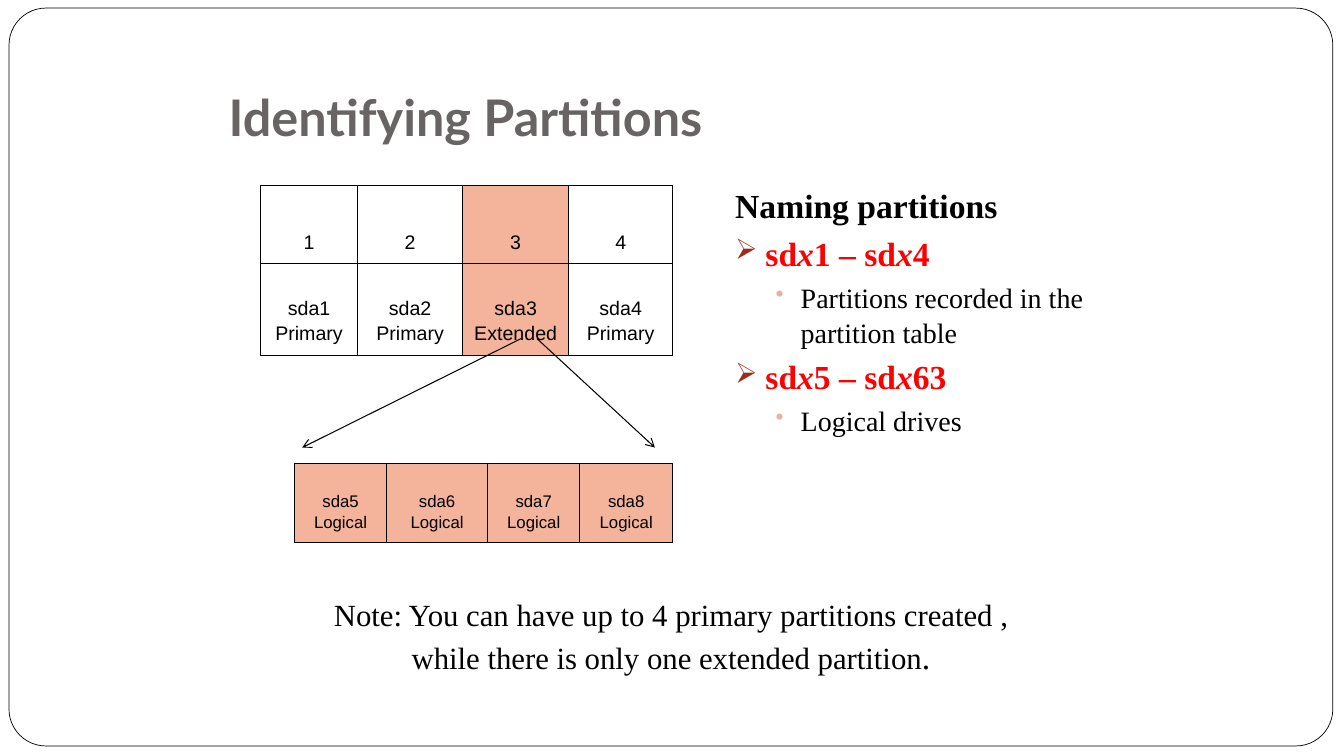
from lxml.etree import SubElement
from pptx import Presentation
from pptx.dml.color import RGBColor
from pptx.enum.shapes import MSO_CONNECTOR as Connector, MSO_SHAPE as Preset
from pptx.enum.text import MSO_ANCHOR as Anchor, PP_ALIGN as Align
from pptx.oxml.ns import qn
from pptx.util import Inches, Pt

WIDTH, HEIGHT = Inches(13.34), Inches(7.5)
BLACK, WHITE, RED, GREY, SALMON = "000000", "FFFFFF", "FF0000", "696464", "F4B39B"
SERIF = "Times New Roman"

FRAME = (0.67, 1.07, 98.5, 97.6)
TITLE = dict(
    box=(16.27, 4, 67.47, 16.67), anchor=Anchor.BOTTOM, bottom=0.1, align=Align.LEFT, spacing=1,
    paragraphs=[("title", ["Identifying Partitions"])],
)
NAMING = dict(
    box=(50.67, 23.6, 33.06, 50), anchor=Anchor.TOP, bottom=0.05, align=Align.LEFT, spacing=1.05,
    paragraphs=[
        ("heading", ["Naming partitions"]),
        ("range", ["sd", "x", "1 – sd", "x", "4"]),
        ("detail", ["Partitions recorded in the partition table"]),
        ("range", ["sd", "x", "5 – sd", "x", "63"]),
        ("detail", ["Logical drives"]),
    ],
)
NOTE = dict(
    box=(23.99, 77.73, 51.87, 11.6), anchor=Anchor.TOP, bottom=0.05, align=Align.CENTER, spacing=1.08,
    paragraphs=[
        ("note", ["Note: You can have up to 4 primary partitions created ,"]),
        ("note", ["while there is only one extended partition", "."]),
    ],
)
FONTS = {
    "title": dict(name="Lato", size=Pt(36), bold=True, color=GREY),
    "heading": dict(name=SERIF, size=Pt(24), bold=True, color=BLACK),
    "range": dict(name=SERIF, size=Pt(24), bold=True, color=RED),
    "detail": dict(name=SERIF, size=Pt(20), bold=False, color=BLACK),
    "note": dict(name=SERIF, size=Pt(22), bold=False, color=BLACK),
}
RUN_CHANGES = {"x": dict(italic=True), ".": dict(size=Pt(24))}
INDENTS = {"heading": (0.74, -0.3), "range": (0.74, -0.3), "detail": (1.09, -0.25)}
BULLETS = {"range": ("➢", "9B2D1F"), "detail": ("•", "E6B1AB")}

TABLES = [
    dict(
        left=19.39, top=24.56, columns=(7.22, 7.82, 7.89, 7.74), rows=(10.33, 12.05), size=14,
        shaded={2},
        cells=[
            ["1", "2", "3", "4"],
            ["sda1\nPrimary", "sda2\nPrimary", "sda3\nExtended", "sda4\nPrimary"],
        ],
    ),
    dict(
        left=21.92, top=61.24, columns=(6.85, 7.52, 6.85, 6.92), rows=(10.5,), size=12,
        shaded={0, 1, 2, 3},
        cells=[["sda5\nLogical", "sda6\nLogical", "sda7\nLogical", "sda8\nLogical"]],
    ),
]
ARROWS = [(39.96, 44.8, 48.73, 59.2), (38.76, 44.8, 22.49, 59.2)]


def across(share):
    return round(WIDTH * share / 100)


def down(share):
    return round(HEIGHT * share / 100)


def place(left, top, right, bottom):
    return across(left), down(top), across(right), down(bottom)


def rgb(value):
    return RGBColor.from_string(value)


def apply(target, formats):
    for name, value in formats.items():
        if name == "color":
            target.color.rgb = rgb(value)
        else:
            setattr(target, name, value)


def add_bullet(properties, symbol, color):
    SubElement(SubElement(properties, qn("a:buClr")), qn("a:srgbClr"), val=color)
    SubElement(properties, qn("a:buSzPct"), val="85000")
    SubElement(properties, qn("a:buChar"), char=symbol)


def add_frame(slide):
    shape = slide.shapes.add_shape(Preset.ROUNDED_RECTANGLE, *place(*FRAME))
    shape.adjustments[0] = 0.05
    shape.shadow.inherit = False
    shape.fill.solid()
    shape.fill.fore_color.rgb = rgb(WHITE)
    apply(shape.line, dict(color=BLACK, width=Pt(0.5)))


def add_text(slide, content):
    frame = slide.shapes.add_textbox(*place(*content["box"])).text_frame
    apply(frame, dict(word_wrap=True, vertical_anchor=content["anchor"],
                      margin_bottom=Inches(content["bottom"])))
    for index, (kind, runs) in enumerate(content["paragraphs"]):
        paragraph = frame.add_paragraph() if index else frame.paragraphs[0]
        apply(paragraph, dict(alignment=content["align"], line_spacing=content["spacing"]))
        if index and kind in BULLETS:
            paragraph.space_before = Pt(3.7)
        properties = paragraph._p.get_or_add_pPr()
        if kind in INDENTS:
            for name, length in zip(("marL", "indent"), INDENTS[kind]):
                properties.set(name, str(Inches(length)))
        if kind in BULLETS:
            add_bullet(properties, *BULLETS[kind])
        for text in runs:
            run = paragraph.add_run()
            run.text = text
            apply(run.font, {**FONTS[kind], **RUN_CHANGES.get(text, {})})


def add_borders(cell):
    properties = cell._tc.get_or_add_tcPr()
    for side in ("a:lnL", "a:lnR", "a:lnT", "a:lnB"):
        line = SubElement(properties, qn(side), w=str(Pt(0.45)))
        SubElement(SubElement(line, qn("a:solidFill")), qn("a:srgbClr"), val=BLACK)


def add_partition_table(slide, content):
    columns, rows = content["columns"], content["rows"]
    box = place(content["left"], content["top"], sum(columns), sum(rows))
    table = slide.shapes.add_table(len(rows), len(columns), *box).table
    apply(table, dict(first_row=False, horz_banding=False))
    for column, share in zip(table.columns, columns):
        column.width = across(share)
    for row, share, texts in zip(table.rows, rows, content["cells"]):
        row.height = down(share)
        for index, (cell, text) in enumerate(zip(row.cells, texts)):
            apply(cell, dict(text=text, vertical_anchor=Anchor.BOTTOM, margin_left=Inches(0.08),
                             margin_right=Inches(0.08), margin_bottom=Inches(0.1)))
            add_borders(cell)
            cell.fill.solid()
            cell.fill.fore_color.rgb = rgb(SALMON if index in content["shaded"] else WHITE)
            for paragraph in cell.text_frame.paragraphs:
                apply(paragraph, dict(alignment=Align.CENTER, line_spacing=1.15))
                apply(paragraph.runs[0].font, dict(name="Arial", size=Pt(content["size"]), color=BLACK))


def add_arrow(slide, ends):
    arrow = slide.shapes.add_connector(Connector.STRAIGHT, *place(*ends))
    apply(arrow.line, dict(color=BLACK, width=Pt(0.75)))
    SubElement(arrow.line._get_or_add_ln(), qn("a:tailEnd"), type="arrow")
    SubElement(arrow._element.spPr, qn("a:effectLst"))


def main():
    presentation = Presentation()
    apply(presentation, dict(slide_width=WIDTH, slide_height=HEIGHT))
    slide = presentation.slides.add_slide(presentation.slide_layouts[6])
    add_frame(slide)
    for content in (TITLE, NAMING, NOTE):
        add_text(slide, content)
    for content in TABLES:
        add_partition_table(slide, content)
    for ends in ARROWS:
        add_arrow(slide, ends)
    presentation.save("out.pptx")


if __name__ == "__main__":
    main()
